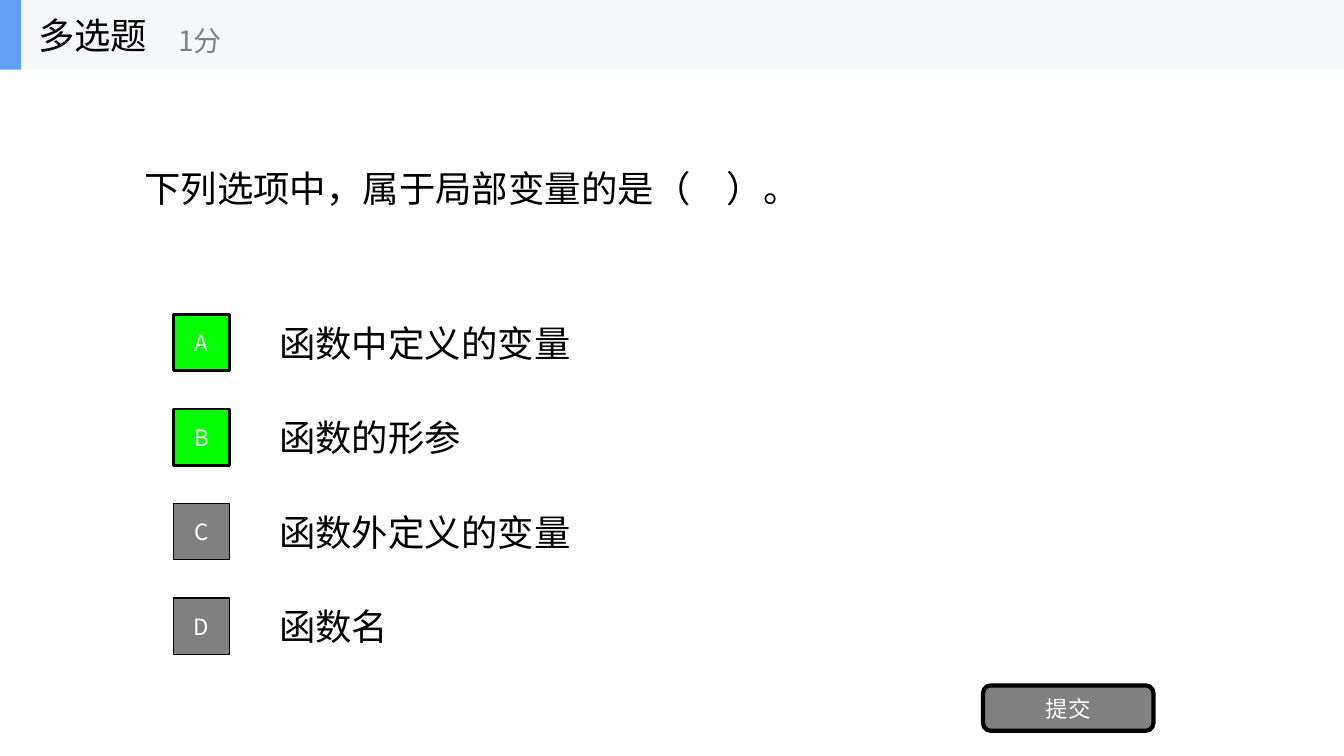
from dataclasses import dataclass

from lxml import etree
from pptx import Presentation
from pptx.dml.color import RGBColor
from pptx.enum.shapes import MSO_SHAPE as SHAPE
from pptx.enum.text import MSO_ANCHOR as ANCHOR, MSO_AUTO_SIZE as AUTO, PP_ALIGN as ALIGN
from pptx.oxml.ns import qn
from pptx.util import Inches, Pt

FONT = "Noto Sans CJK SC"
BLACK, WHITE, GREY, GREEN = "000000", "FFFFFF", "808080", "00FF00"
HEADER_H = 0.69
OPTION_TOP, OPTION_STEP, OPTION_H = 3.05, 0.937, 0.7
BOX_SIZE = 0.56


@dataclass
class Option:
    letter: str
    text: str
    correct: bool


OPTIONS = [
    Option("A", "函数中定义的变量", True),
    Option("B", "函数的形参", True),
    Option("C", "函数外定义的变量", False),
    Option("D", "函数名", False),
]


def rgb(color: str) -> RGBColor:
    return RGBColor.from_string(color)


def set_text(sp, text: str, size: int, color: str, align=ALIGN.LEFT, wrap: bool = True) -> None:
    tf = sp.text_frame
    tf.text = text
    tf.word_wrap = wrap
    tf.auto_size = AUTO.NONE
    tf.vertical_anchor = ANCHOR.MIDDLE
    p = tf.paragraphs[0]
    p.alignment = align
    font = p.runs[0].font
    font.size = Pt(size)
    font.name = FONT
    font.color.rgb = rgb(color)
    # East Asian glyphs take their typeface from a:ea
    etree.SubElement(p.runs[0]._r.rPr, qn("a:ea"), typeface=FONT)


def add_label(shapes, at: tuple, text: str, size: int = 26, color: str = BLACK,
              wrap: bool = True) -> None:
    sp = shapes.add_textbox(*map(Inches, at))
    set_text(sp, text, size, color, wrap=wrap)


def add_box(shapes, at: tuple, fill: str, text: str = "", line: float = 0,
            kind=SHAPE.RECTANGLE) -> None:
    """Draw a filled box; a line width of 0 means no outline."""
    sp = shapes.add_shape(kind, *map(Inches, at))
    sp.shadow.inherit = False
    sp.fill.solid()
    sp.fill.fore_color.rgb = rgb(fill)
    if line:
        sp.line.color.rgb = rgb(BLACK)
        sp.line.width = Pt(line)
    else:
        sp.line.fill.background()
    if text:
        set_text(sp, text, 16, WHITE, ALIGN.CENTER)


def add_question(s) -> None:
    title = s.shapes.title
    title.left, title.top, title.width, title.height = map(Inches, (1.33, 0.69, 10.67, 2.34))
    set_text(title, "下列选项中，属于局部变量的是（　）。", 26, BLACK)


def add_options(s) -> None:
    for i, option in enumerate(OPTIONS):
        top = OPTION_TOP + i * OPTION_STEP
        add_label(s.shapes, (2.67, top, 9.33, OPTION_H), option.text)
        box_top = top + (OPTION_H - BOX_SIZE) / 2
        add_box(s.shapes, (1.72, box_top, BOX_SIZE, BOX_SIZE),
                GREEN if option.correct else GREY, option.letter,
                line=2 if option.correct else 1)


def add_header(s) -> None:
    shapes = s.shapes.add_group_shape().shapes
    add_box(shapes, (0, 0, 13.33, HEADER_H), "F6F7F8")
    add_box(shapes, (0, 0, 0.21, HEADER_H), "639EF4")
    add_label(shapes, (0.28, 0, 2.08, HEADER_H), "多选题", wrap=False)
    add_label(shapes, (1.67, 0.12, 2.5, 0.56), "1分", 20, GREY, wrap=False)


def main() -> None:
    prs = Presentation()
    prs.slide_width, prs.slide_height = Inches(13.33), Inches(7.5)
    s = prs.slides.add_slide(prs.slide_layouts[5])
    s.background.fill.solid()
    s.background.fill.fore_color.rgb = rgb(WHITE)
    add_question(s)
    add_options(s)
    add_box(s.shapes, (9.75, 6.8, 1.69, 0.45), GREY, "提交", line=3,
            kind=SHAPE.ROUNDED_RECTANGLE)
    add_header(s)
    prs.save("out.pptx")


if __name__ == "__main__":
    main()
